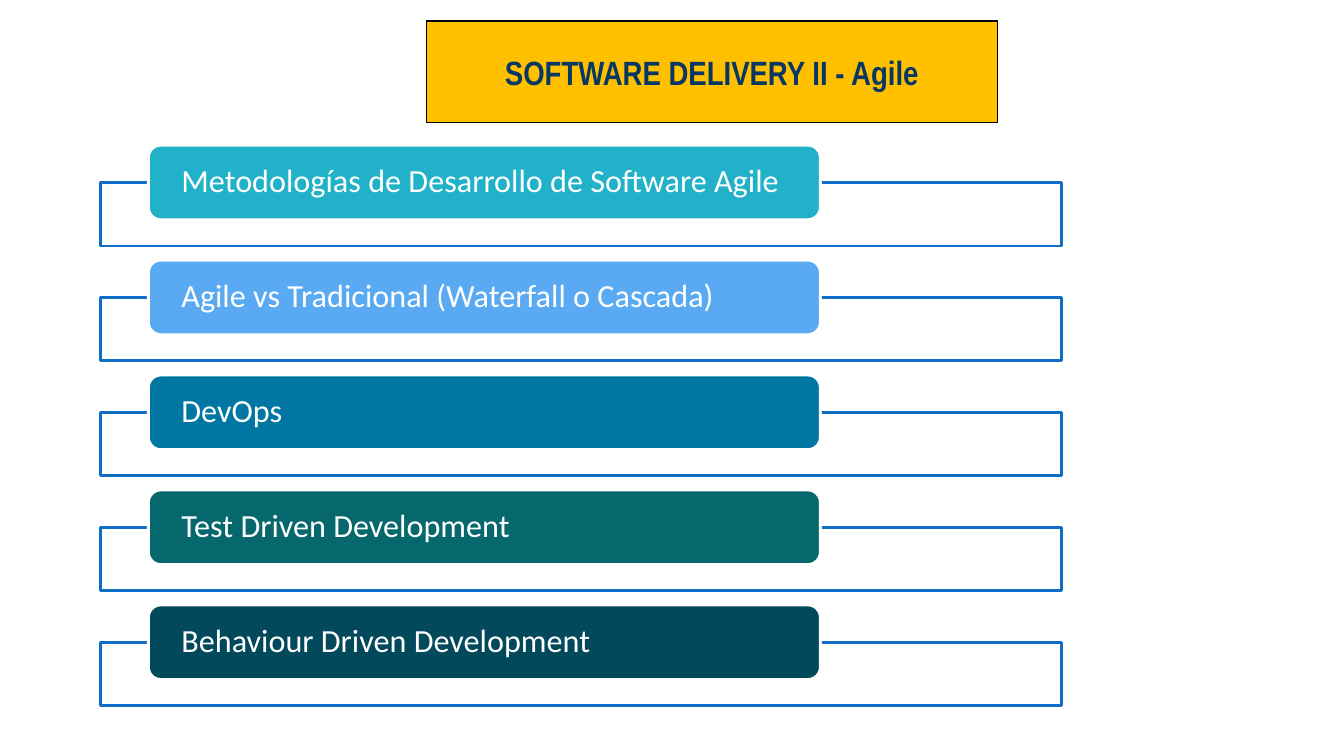
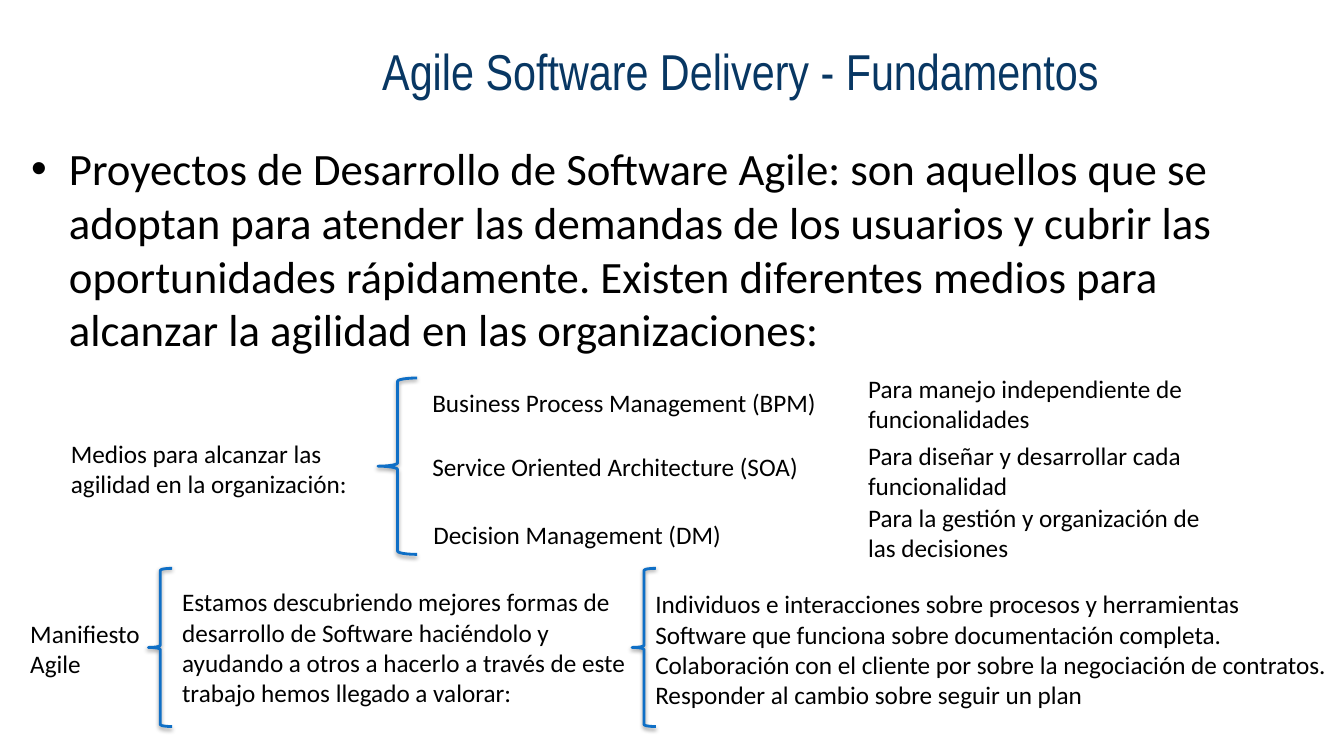
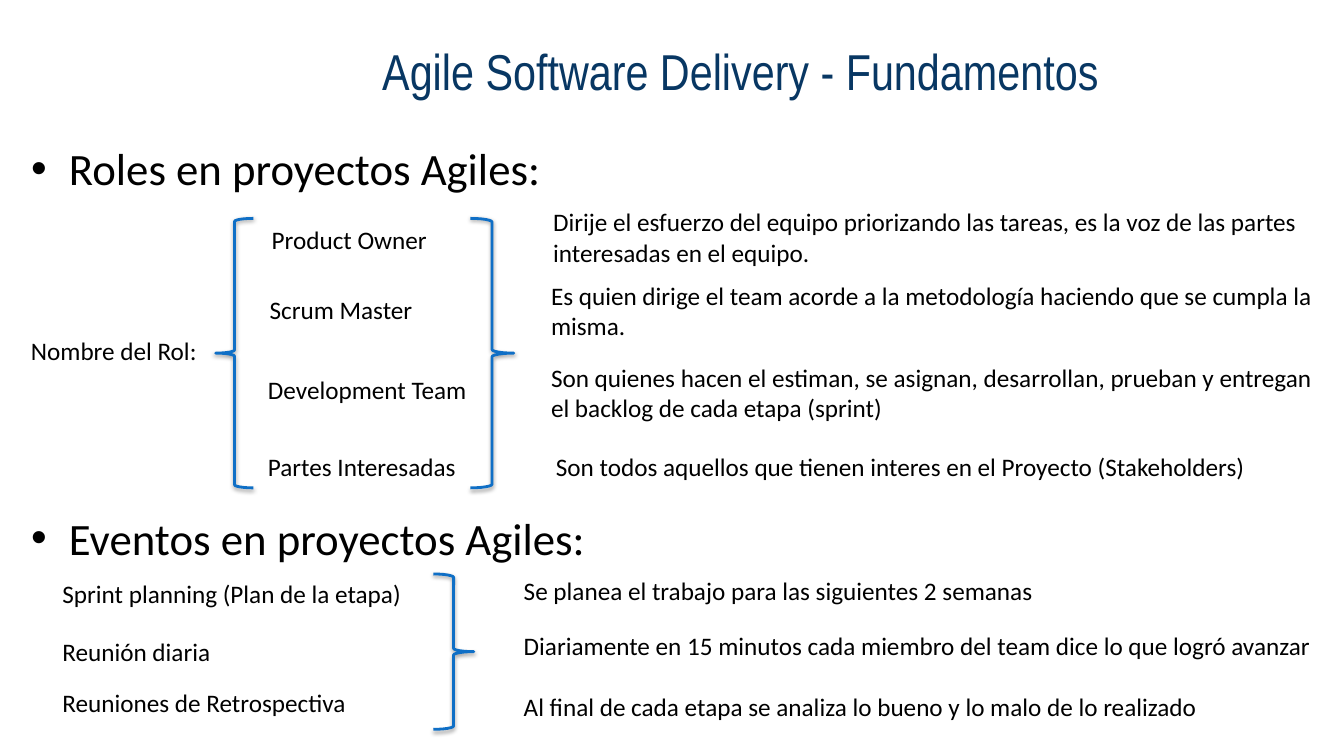
from lxml.etree import SubElement
from pptx import Presentation
from pptx.dml.color import RGBColor
from pptx.enum.shapes import MSO_SHAPE
from pptx.enum.text import MSO_ANCHOR, MSO_AUTO_SIZE, PP_ALIGN
from pptx.oxml.ns import qn
from pptx.util import Pt


def color(value):
    return RGBColor.from_string(value)


class Deck:
    TITLE_FONT, BODY_FONT = "Arial Narrow", "Calibri"
    NAVY, BLUE, GOLD = "083763", "0F6FC6", "FFC000"
    BLACK, WHITE = "000000", "FFFFFF"
    TITLE_ONLY, ONE_LIST, TWO_LISTS = 5, 1, 3

    def __init__(self):
        self.presentation = Presentation()
        self.presentation.slide_width = Pt(960)
        self.presentation.slide_height = Pt(540)
        self.slide = None

    def add_slide(self, layout):
        layouts = self.presentation.slide_layouts
        self.slide = self.presentation.slides.add_slide(layouts[layout])

    def place(self, shape, left, top, width, height):
        shape.left, shape.top = Pt(left), Pt(top)
        shape.width, shape.height = Pt(width), Pt(height)

    def fill_text(self, shape, paragraphs, size, value=BLACK, font=BODY_FONT, bold=False):
        frame = shape.text_frame
        frame.word_wrap = True
        frame.auto_size = MSO_AUTO_SIZE.NONE
        for index, lines in enumerate(paragraphs):
            paragraph = frame.add_paragraph() if index else frame.paragraphs[0]
            for number, line in enumerate(lines.split("\n")):
                if number:
                    paragraph.add_line_break()
                run = paragraph.add_run()
                run.text = line
                run.font.name, run.font.size = font, Pt(size)
                run.font.bold = bold
                run.font.color.rgb = color(value)
        return frame

    def outline(self, shape, value, width):
        shape.line.color.rgb = color(value)
        shape.line.width = Pt(width)

    def title(self, text, box=(151, 9.5, 756, 81), size=36, bold=False):
        shape = self.slide.shapes.title
        self.place(shape, *box)
        frame = self.fill_text(shape, [text], size, self.NAVY, self.TITLE_FONT, bold)
        frame.vertical_anchor = MSO_ANCHOR.MIDDLE
        frame.paragraphs[0].alignment = PP_ALIGN.CENTER
        return shape

    def boxed_title(self, text):
        shape = self.title(text, (304.5, 15, 408, 72.5), 24, True)
        shape.fill.solid()
        shape.fill.fore_color.rgb = color(self.GOLD)
        self.outline(shape, self.BLACK, 0.75)

    def bullet(self, text, top, height, index=1):
        shape = self.slide.placeholders[index]
        self.place(shape, 15, top, 929.5, height)
        self.fill_text(shape, [text], 32)

    def text(self, left, top, width, *paragraphs, height=29):
        shape = self.slide.shapes.add_textbox(Pt(left), Pt(top), Pt(width), Pt(height))
        self.fill_text(shape, paragraphs, 18)

    def box(self, kind, left, top, width, height, fill, line):
        shape = self.slide.shapes.add_shape(
            kind, Pt(left), Pt(top), Pt(width), Pt(height))
        shape.shadow.inherit = False
        shape.fill.solid()
        shape.fill.fore_color.rgb = color(fill)
        self.outline(shape, line, 2)
        return shape

    def topic(self, text, top, fill):
        self.box(MSO_SHAPE.RECTANGLE, 72, top + 26.6, 686, 45.4, self.WHITE, self.BLUE)
        bar = self.box(MSO_SHAPE.ROUNDED_RECTANGLE, 106, top, 480, 53.3, fill, self.WHITE)
        frame = self.fill_text(bar, [text], 23, self.WHITE)
        frame.margin_left = frame.margin_right = Pt(21)
        frame.margin_top = frame.margin_bottom = 0
        frame.vertical_anchor = MSO_ANCHOR.MIDDLE
        frame.paragraphs[0].alignment = PP_ALIGN.LEFT
        frame.paragraphs[0].line_spacing = 0.9

    def brace(self, left, top, width, height, kind=MSO_SHAPE.LEFT_BRACE):
        shape = self.slide.shapes.add_shape(
            kind, Pt(left), Pt(top), Pt(width), Pt(height))
        shape.fill.background()
        self.outline(shape, self.BLUE, 2)
        shape.shadow.inherit = False
        effects = shape.element.spPr.find(qn("a:effectLst"))
        shadow = SubElement(effects, qn("a:outerShdw"), blurRad=str(Pt(3.1)),
                            dist=str(Pt(1.6)), dir="5400000", rotWithShape="0")
        black = SubElement(shadow, qn("a:srgbClr"), val=self.BLACK)
        SubElement(black, qn("a:alpha"), val="38000")


def agenda(deck):
    deck.add_slide(deck.TITLE_ONLY)
    deck.boxed_title("SOFTWARE DELIVERY II - Agile")
    topics = [
        ("Metodologías de Desarrollo de Software Agile", "21B2C9"),
        ("Agile vs Tradicional (Waterfall o Cascada)", "59AAF2"),
        ("DevOps", "0076A3"),
        ("Test Driven Development", "06686C"),
        ("Behaviour Driven Development", "03495C"),
    ]
    for index, (text, fill) in enumerate(topics):
        deck.topic(text, 103.7 + 82.1 * index, fill)


def foundations(deck):
    deck.add_slide(deck.ONE_LIST)
    deck.title("Agile Software Delivery - Fundamentos")
    deck.bullet("Proyectos de Desarrollo de Software Agile: son aquellos que se adoptan "
                "para atender las demandas de los usuarios y cubrir las oportunidades "
                "rápidamente. Existen diferentes medios para alcanzar la agilidad en las "
                "organizaciones:", 97, 158)
    deck.text(43.5, 309.5, 212.5, "Medios para alcanzar las agilidad en la organización:",
              height=51)
    deck.brace(270, 270, 28, 126)
    means = [
        (301.7, 273, "Business Process Management (BPM)",
         263, 332, "Para manejo independiente de funcionalidades"),
        (301.7, 319, "Service Oriented Architecture (SOA)",
         311, 255, "Para diseñar y desarrollar cada funcionalidad"),
        (302.5, 367.5, "Decision Management (DM)",
         355, 267, "Para la gestión y organización de las decisiones"),
    ]
    for left, top, name, purpose_top, width, purpose in means:
        deck.text(left, top, 300, name)
        deck.text(613, purpose_top, width, purpose, height=51)
    deck.text(14.5, 438, 95, "Manifiesto", "Agile", height=51)
    for left in (106, 451.5):
        deck.brace(left, 406, 17, 113)
    deck.text(123, 415.5, 332, "Estamos descubriendo mejores formas de desarrollo de "
              "Software haciéndolo y ayudando a otros a hacerlo a través de este trabajo "
              "hemos llegado a valorar:", height=94.5)
    deck.text(461, 417, 495.5, "Individuos e interacciones sobre procesos y herramientas\n"
              "Software que funciona sobre documentación completa.\n"
              "Colaboración con el cliente por sobre la negociación de contratos.\n"
              "Responder al cambio sobre seguir un plan", height=94.5)


def roles_and_events(deck):
    deck.add_slide(deck.TWO_LISTS)
    deck.title("Agile Software Delivery - Fundamentos")
    deck.bullet("Roles en proyectos Agiles:", 97, 51)
    deck.bullet("Eventos en proyectos Agiles:", 361, 51, index=2)
    deck.text(15, 236, 152.5, "Nombre del Rol:")
    deck.brace(154, 156, 27, 192.5)
    deck.brace(336, 156, 31, 192.5, MSO_SHAPE.RIGHT_BRACE)
    roles = [
        (187, 157, "Product Owner", 388, 144,
         "Dirije el esfuerzo del equipo priorizando las tareas, es la voz de las partes "
         "interesadas en el equipo."),
        (185.5, 206.5, "Scrum Master", 386.5, 196.5,
         "Es quien dirige el team acorde a la metodología haciendo que se cumpla la misma."),
        (184.3, 263.5, "Development Team", 386.5, 255,
         "Son quienes hacen el estiman, se asignan, desarrollan, prueban y entregan el "
         "backlog de cada etapa (sprint)"),
        (184.3, 319, "Partes Interesadas", 390, 319,
         "Son todos aquellos que tienen interes en el Proyecto (Stakeholders)"),
    ]
    for left, top, role, duty_left, duty_top, duty in roles:
        deck.text(left, top, 165, role)
        deck.text(duty_left, duty_top, 945 - duty_left, duty, height=51)
    deck.brace(309.5, 410, 29, 111, MSO_SHAPE.RIGHT_BRACE)
    events = [
        (409.5, "Sprint planning (Plan de la etapa)",
         407.5, "Se planea el trabajo para las siguientes 2 semanas"),
        (451, "Reunión diaria", 446.5,
         "Diariamente en 15 minutos cada miembro del team dice lo que logró avanzar"),
        (487.5, "Reuniones de Retrospectiva", 490.5,
         "Al final de cada etapa se analiza lo bueno y lo malo de lo realizado"),
    ]
    for top, event, aim_top, aim in events:
        deck.text(37.5, top, 268, event)
        deck.text(367, aim_top, 588, aim)


def main():
    deck = Deck()
    agenda(deck)
    foundations(deck)
    roles_and_events(deck)
    deck.presentation.save("out.pptx")


if __name__ == "__main__":
    main()
